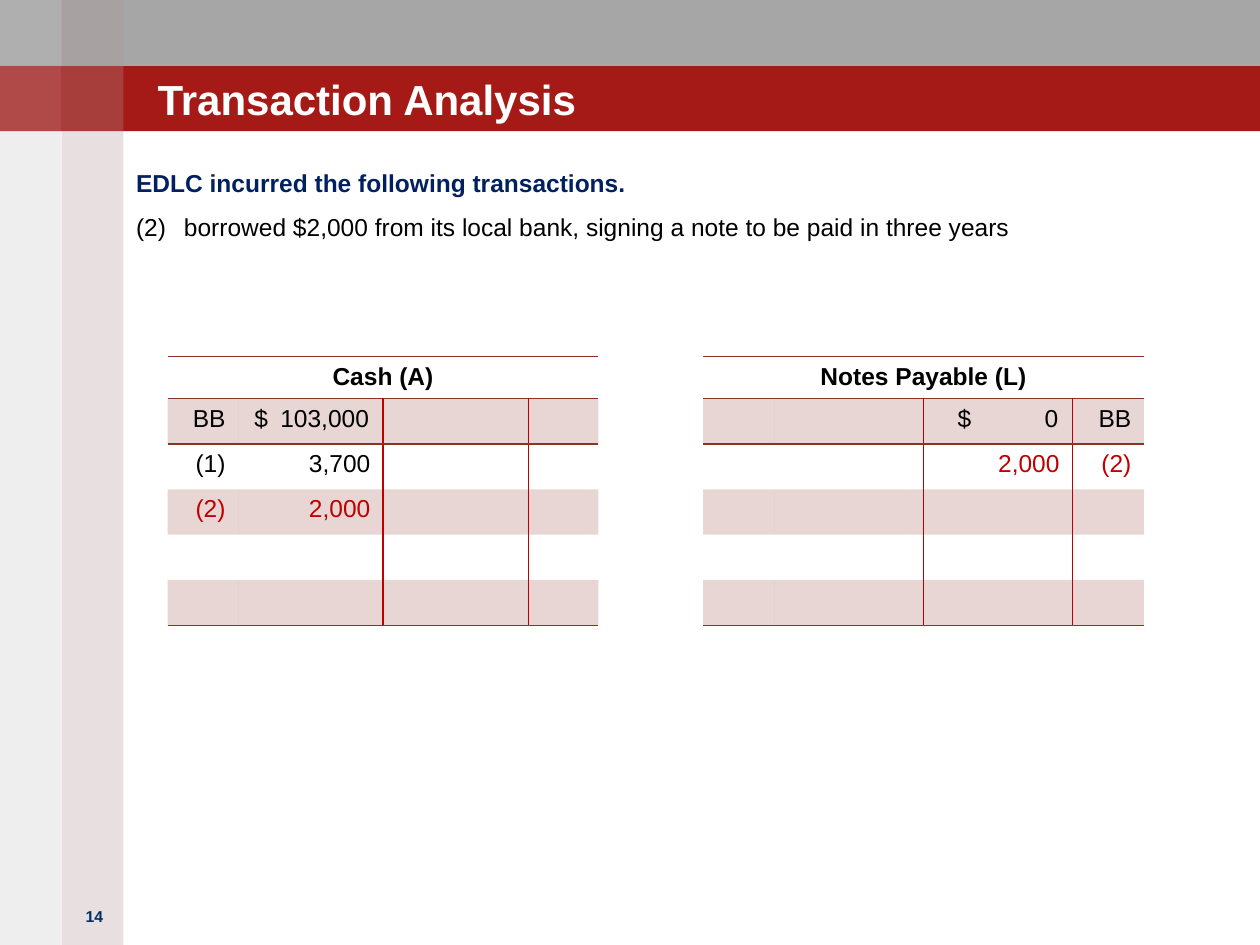
from dataclasses import dataclass

from lxml import etree
from pptx import Presentation
from pptx.dml.color import RGBColor
from pptx.enum.shapes import MSO_SHAPE
from pptx.enum.text import MSO_ANCHOR, MSO_AUTO_SIZE, PP_ALIGN
from pptx.oxml.ns import qn
from pptx.util import Inches, Pt

GRID_COLUMNS, GRID_ROWS = 100, 75
SLIDE_WIDTH, SLIDE_HEIGHT = Inches(10), Inches(7.5)
NO_STYLE_NO_GRID = "{2D5ABB26-0587-4C30-8999-92F81FD0307C}"


@dataclass(frozen=True)
class Theme:
    font: str = "Arial"
    gray: str = "A6A6A6"
    red: str = "A51A17"
    rose_rail: str = "A08284"
    gray_rail: str = "938F8F"
    white: str = "FFFFFF"
    black: str = "000000"
    navy: str = "002060"
    page: str = "002E62"
    rule: str = "873624"
    accent: str = "C00000"
    title_size: float = 24
    text_size: float = 14
    page_size: float = 9
    rule_width: float = 1
    hairline: float = 0.5


THEME = Theme()


@dataclass(frozen=True)
class Box:
    """A place on the grid, in columns and rows."""
    column: float
    row: float
    columns: float
    rows: float

    def emu(self):
        return across(self.column), down(self.row), across(self.columns), down(self.rows)


@dataclass(frozen=True)
class Entry:
    """Text of one ledger cell; a lead is a sign set apart on its left."""
    text: str
    color: str = THEME.black
    lead: str = ""
    lead_indent: float = 0


@dataclass(frozen=True)
class Account:
    name: str
    column: float
    label_columns: float
    amount_columns: float
    entries: dict


TABLE_ROW, HEADER_ROWS, LINE_ROWS, LINES = 28.3, 3.2, 3.6, 5
CELL_INSET = 1

ACCOUNTS = (
    Account("Cash (A)", 13.3, 5.6, 11.5, {
        (1, 0): Entry("BB"),
        (1, 1): Entry("103,000", lead="$", lead_indent=1.3),
        (2, 0): Entry("(1)"),
        (2, 1): Entry("3,700"),
        (3, 0): Entry("(2)", THEME.accent),
        (3, 1): Entry("2,000", THEME.accent),
    }),
    Account("Notes Payable (L)", 55.8, 5.7, 11.8, {
        (1, 2): Entry("0", lead="$", lead_indent=2.7),
        (1, 3): Entry("BB"),
        (2, 2): Entry("2,000", THEME.accent),
        (2, 3): Entry("(2)", THEME.accent),
    }),
)


def across(columns: float) -> int:
    return round(SLIDE_WIDTH * columns / GRID_COLUMNS)


def down(rows: float) -> int:
    return round(SLIDE_HEIGHT * rows / GRID_ROWS)


def paint(fill, color: str, opacity: int = 100) -> None:
    fill.solid()
    fill.fore_color.rgb = RGBColor.from_string(color)
    if opacity < 100:
        tint = fill._xPr.find(f".//{qn('a:srgbClr')}")
        etree.SubElement(tint, qn("a:alpha"), val=str(opacity * 1000))


def add_block(slide, box: Box, color: str, opacity: int = 100) -> None:
    block = slide.shapes.add_shape(MSO_SHAPE.RECTANGLE, *box.emu())
    block.shadow.inherit = False
    block.line.fill.background()
    paint(block.fill, color, opacity)


def add_run(paragraph, text: str, size: float, color: str, bold: bool = False) -> None:
    run = paragraph.add_run()
    run.text = text
    run.font.name = THEME.font
    run.font.size = Pt(size)
    run.font.bold = bold
    run.font.color.rgb = RGBColor.from_string(color)


def place_frame(shape, box: Box, anchor):
    """Move a placeholder and return its text frame without insets."""
    shape.left, shape.top, shape.width, shape.height = box.emu()
    frame = shape.text_frame
    frame.auto_size = MSO_AUTO_SIZE.NONE
    frame.word_wrap = True
    frame.vertical_anchor = anchor
    frame.margin_left = frame.margin_right = frame.margin_top = frame.margin_bottom = 0
    return frame


def set_bullet(paragraph, indent: int, bullet: str, **attributes: str) -> None:
    paragraph.space_before, paragraph.space_after = Pt(2.8), Pt(6)
    properties = paragraph._p.get_or_add_pPr()
    properties.set("marL", str(indent))
    properties.set("indent", str(-indent))
    etree.SubElement(properties, qn(bullet), **attributes)


def add_backdrop(slide) -> None:
    band, rail = 5.2, 4.9
    for level, color in enumerate((THEME.gray, THEME.red)):
        add_block(slide, Box(0, level * band, GRID_COLUMNS, band), color)
    rails = ((THEME.gray_rail, 15, 15), (THEME.rose_rail, 25, 5))
    for position, (color, opacity, gloss) in enumerate(rails):
        left = position * rail
        add_block(slide, Box(left, 0, rail, GRID_ROWS), color, opacity)
        for level in range(2):
            add_block(slide, Box(left, level * band, rail, band), THEME.white, gloss)


def set_borders(cell, **sides) -> None:
    """Draw (color, points) lines on the sides L, R, T and B."""
    properties = cell._tc.get_or_add_tcPr()
    drawn = [side for side in "LRTB" if side in sides]
    for position, side in enumerate(drawn):
        color, width = sides[side]
        line = etree.Element(qn(f"a:ln{side}"), w=str(Pt(width)))
        fill = etree.SubElement(line, qn("a:solidFill"))
        etree.SubElement(fill, qn("a:srgbClr"), val=color)
        properties.insert(position, line)


def write_entry(cell, entry: Entry, columns: float) -> None:
    paragraph = cell.text_frame.paragraphs[0]
    if not entry.lead:
        paragraph.alignment = PP_ALIGN.RIGHT
        add_run(paragraph, entry.text, THEME.text_size, entry.color)
        return
    paragraph.alignment = PP_ALIGN.LEFT
    inset = CELL_INSET + entry.lead_indent - 1
    cell.margin_left = across(inset)
    stops = etree.SubElement(paragraph._p.get_or_add_pPr(), qn("a:tabLst"))
    stop = across(columns - inset - CELL_INSET - 0.1)
    etree.SubElement(stops, qn("a:tab"), pos=str(stop), algn="r")
    add_run(paragraph, f"{entry.lead}\t{entry.text}", THEME.text_size, entry.color)


def add_account(slide, account: Account) -> None:
    widths = [account.label_columns, account.amount_columns]
    widths += widths[::-1]
    box = Box(account.column, TABLE_ROW, sum(widths), HEADER_ROWS + LINES * LINE_ROWS)
    frame = slide.shapes.add_table(LINES + 1, len(widths), *box.emu())
    ledger = frame.table
    ledger.first_row = ledger.horz_banding = False
    ledger._tbl.tblPr.find(qn("a:tableStyleId")).text = NO_STYLE_NO_GRID
    for column, width in zip(ledger.columns, widths):
        column.width = across(width)
    for index, row in enumerate(ledger.rows):
        row.height = down(LINE_ROWS if index else HEADER_ROWS)

    rule = (THEME.rule, THEME.rule_width)
    divider = (THEME.accent, THEME.rule_width)
    hairline = (THEME.accent, THEME.hairline)
    column_lines = ({}, {"R": divider}, {"L": divider, "R": hairline}, {"L": hairline})
    for row in range(LINES + 1):
        for column, width in enumerate(widths):
            cell = ledger.cell(row, column)
            cell.margin_left = cell.margin_right = across(CELL_INSET)
            if row % 2:
                paint(cell.fill, THEME.rule, 20)
            else:
                cell.fill.background()
            if row == 0:
                set_borders(cell, T=rule, B=rule)
            else:
                edges = {"T": rule} if row == 1 else {"B": rule} if row == LINES else {}
                set_borders(cell, **column_lines[column], **edges)
            if (row, column) in account.entries:
                write_entry(cell, account.entries[row, column], width)
            elif row:
                cell.margin_top = cell.margin_bottom = 0

    header = ledger.cell(0, 0)
    header.merge(ledger.cell(0, len(widths) - 1))
    heading = header.text_frame.paragraphs[0]
    heading.alignment = PP_ALIGN.CENTER
    add_run(heading, account.name, THEME.text_size, THEME.black, bold=True)


def main() -> None:
    deck = Presentation()
    deck.slide_width, deck.slide_height = SLIDE_WIDTH, SLIDE_HEIGHT
    slide = deck.slides.add_slide(deck.slide_layouts[1])
    title, body = slide.placeholders
    add_backdrop(slide)
    for placeholder in (title, body):
        slide.shapes._spTree.append(placeholder._element)

    heading = place_frame(title, Box(12.5, 3.1, 79.2, 6.7), MSO_ANCHOR.BOTTOM).paragraphs[0]
    heading.alignment = PP_ALIGN.LEFT
    add_run(heading, "Transaction Analysis", THEME.title_size, THEME.white, bold=True)

    story = place_frame(body, Box(10.8, 13.3, 84.2, 58.3), MSO_ANCHOR.TOP)
    intro, transaction = story.paragraphs[0], story.add_paragraph()
    set_bullet(intro, 0, "a:buNone")
    add_run(intro, "EDLC incurred the following transactions.", THEME.text_size, THEME.navy, bold=True)
    set_bullet(transaction, across(3.8), "a:buAutoNum", type="arabicParenBoth", startAt="2")
    add_run(transaction, "borrowed $2,000 from its local bank, signing a note to be paid in three years",
            THEME.text_size, THEME.black)

    page_box = slide.shapes.add_textbox(*Box(5, 71.5, 5, 5).emu())
    page_box.text_frame.word_wrap = True
    page_number = page_box.text_frame.paragraphs[0]
    page_number.alignment = PP_ALIGN.CENTER
    add_run(page_number, "14", THEME.page_size, THEME.page, bold=True)

    for account in ACCOUNTS:
        add_account(slide, account)
    deck.save("out.pptx")


if __name__ == "__main__":
    main()
